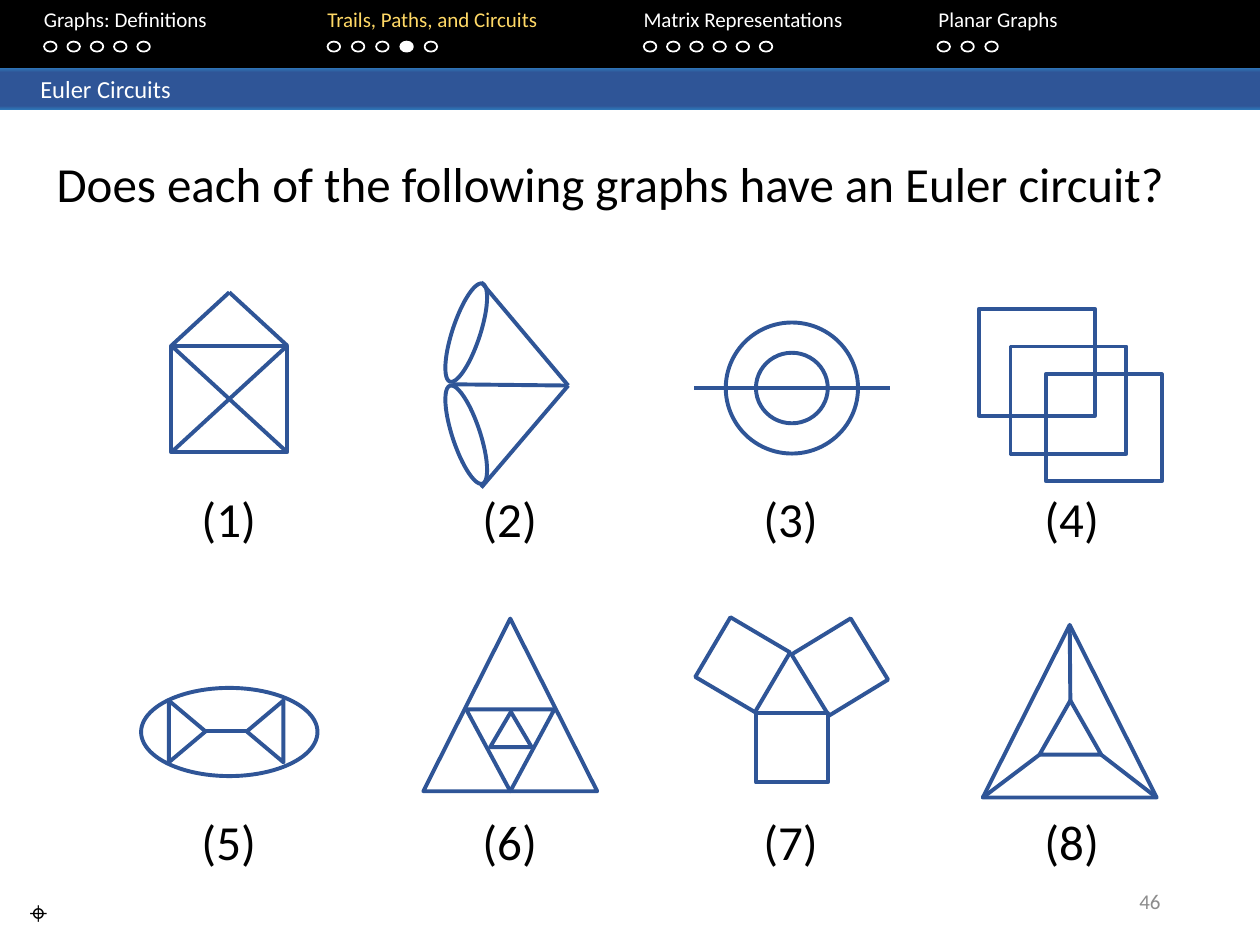
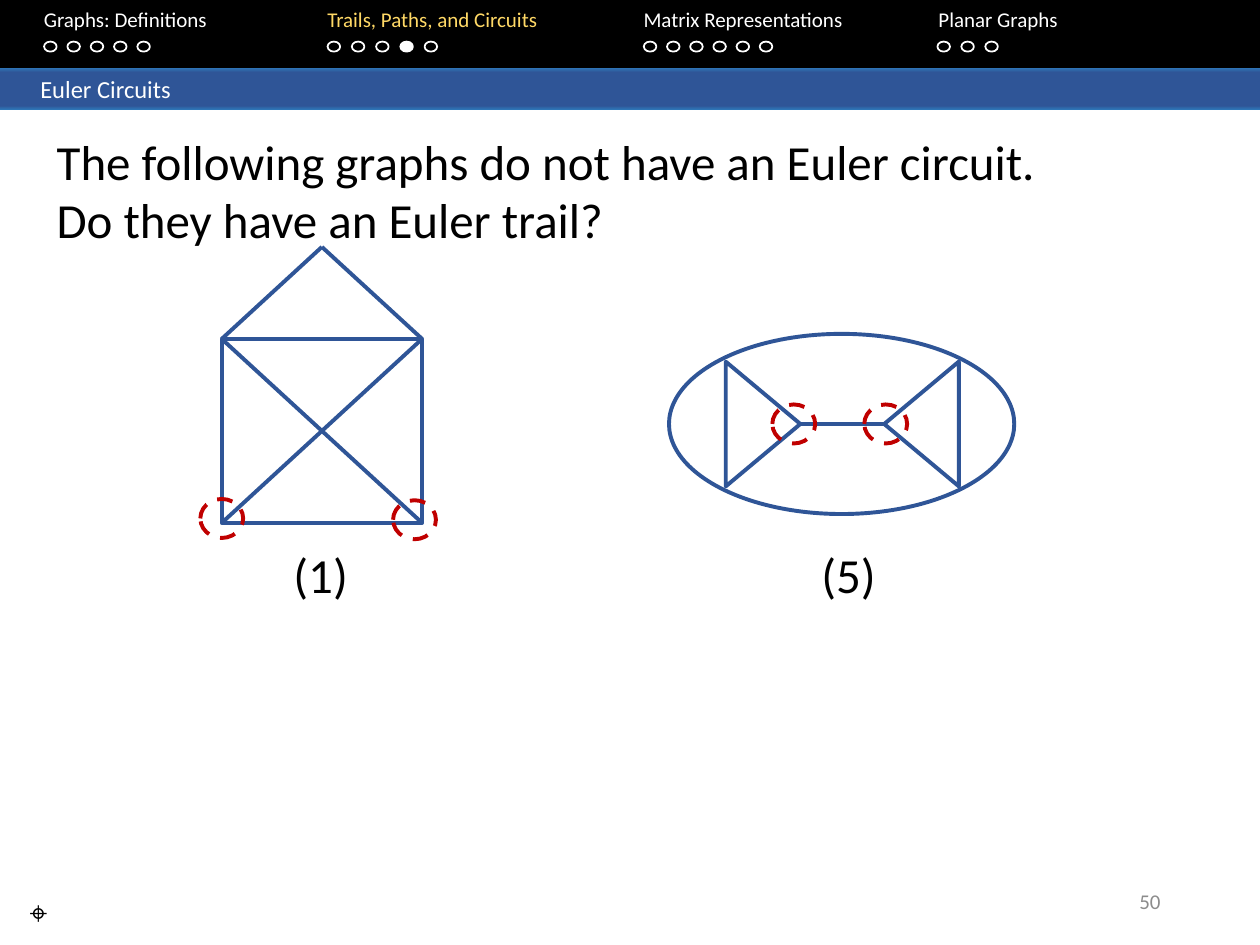
import copy

import pptx
import pptx.dml.color
import pptx.enum.dml
import pptx.enum.shapes
import pptx.enum.text
import pptx.oxml
import pptx.oxml.ns
import pptx.util

Inches = pptx.util.Inches
Shape = pptx.enum.shapes.MSO_SHAPE
Align = pptx.enum.text.PP_ALIGN
Anchor = pptx.enum.text.MSO_ANCHOR

BLACK, WHITE, GOLD = "000000", "FFFFFF", "FFD966"
GRAPH_BLUE, EDGE_BLUE, GREY, RED = "2F5597", "2E75B6", "8C8C8C", "C00000"
FONT = "Calibri"
GRAPH_LINE = 2.25
CAPTION_SIZE = (0.93, 0.57)

# Section name, text tab, first dot, last dot, number of dots
SECTIONS = [
    ("Graphs: Definitions", 0.25, 0.35, 1.09, 5),
    ("Trails, Paths, and Circuits", 2.5, 2.6, 3.37, 5),
    ("Matrix Representations", 5.01, 5.11, 6.03, 6),
    ("Planar Graphs", 7.35, 7.44, 7.82, 3),
]
CURRENT_SECTION, CURRENT_DOT = 1, 3


def rgb(hex_colour):
    return pptx.dml.color.RGBColor.from_string(hex_colour)


def set_values(target, values):
    for name, value in values.items():
        setattr(target, name, value)


def add_span(para, text, size, colour):
    span = para.add_run()
    span.text = text
    set_values(span.font, {"size": pptx.util.Pt(size), "name": FONT})
    span.font.color.rgb = rgb(colour)


def write(shape, text, size, colour=BLACK, align=Align.LEFT, anchor=Anchor.TOP):
    frame = shape.text_frame
    set_values(frame, {"word_wrap": True, "vertical_anchor": anchor,
                       "auto_size": pptx.enum.text.MSO_AUTO_SIZE.NONE})
    para = frame.paragraphs[0]
    para.alignment = align
    add_span(para, text, size, colour)


def add_text(shapes, box, text, size, **style):
    write(shapes.add_textbox(*map(Inches, box)), text, size, **style)


def add_outline(shapes, kind, box, colour=GRAPH_BLUE, width=GRAPH_LINE,
                rotation=0, fill=None, dash=None):
    """Add a preset shape that is hollow unless a fill is given."""
    shape = shapes.add_shape(kind, *map(Inches, box))
    shape.shadow.inherit = False
    shape.rotation = rotation
    if fill:
        shape.fill.solid()
        shape.fill.fore_color.rgb = rgb(fill)
    else:
        shape.fill.background()
    shape.line.color.rgb = rgb(colour)
    set_values(shape.line, {"width": pptx.util.Pt(width), "dash_style": dash})
    return shape


def add_edge(shapes, start, end):
    edge = shapes.add_connector(pptx.enum.shapes.MSO_CONNECTOR.STRAIGHT,
                                *map(Inches, (*start, *end)))
    edge.line.color.rgb = rgb(GRAPH_BLUE)
    edge.line.width = pptx.util.Pt(GRAPH_LINE)
    edge._element.spPr.append(pptx.oxml.parse_xml(
        f"<a:effectLst {pptx.oxml.ns.nsdecls('a')}/>"))


def shifted(x, y, box):
    left, top, width, height = box
    return x + left, y + top, width, height


def triangle_corners(box):
    """Return the top, bottom left and bottom right corners."""
    x, y, width, height = box
    return (x + width / 2, y), (x, y + height), (x + width, y + height)


# Frame shared by the slides

def add_section_bar(page, box):
    x, y, width, height = box
    bar = add_outline(page.shapes, Shape.RECTANGLE, box, fill=BLACK)
    bar.line.fill.background()
    names = page.shapes.add_textbox(*map(Inches, (x, y + 0.02, width, 0.5)))
    names.text_frame.word_wrap = True
    para = names.text_frame.paragraphs[0]
    stops = "".join(f'<a:tab pos="{Inches(tab)}" algn="l"/>'
                    for _, tab, *_ in SECTIONS)
    para._p.get_or_add_pPr().append(pptx.oxml.parse_xml(
        f"<a:tabLst {pptx.oxml.ns.nsdecls('a')}>{stops}</a:tabLst>"))
    for section, (name, _, first, last, count) in enumerate(SECTIONS):
        current = section == CURRENT_SECTION
        add_span(para, "\t" + name, 12, GOLD if current else WHITE)
        gap = (last - first) / (count - 1)
        for dot in range(count):
            add_outline(page.shapes, Shape.OVAL,
                        (x + first + dot * gap, y + 0.35, 0.1, 0.08), WHITE, 1,
                        fill=WHITE if current and dot == CURRENT_DOT else None)


def add_topic_band(page, box):
    band = add_outline(page.shapes, Shape.RECTANGLE, box)
    band.line.fill.background()
    band.fill.gradient()
    band.fill.gradient_angle = 270
    stop_list = band._element.spPr.find(".//" + pptx.oxml.ns.qn("a:gsLst"))
    for _ in range(2):
        stop_list.append(copy.deepcopy(stop_list[0]))
    colours = [(0, EDGE_BLUE), (0.11, GRAPH_BLUE), (0.91, GRAPH_BLUE), (1, EDGE_BLUE)]
    for stop, (position, colour) in zip(band.fill.gradient_stops, colours):
        stop.position = position
        stop.color.rgb = rgb(colour)
    band.text_frame.margin_left = Inches(0.32)
    write(band, "Euler Circuits", 14, WHITE, anchor=Anchor.MIDDLE)


def add_page(deck, question, question_box, number):
    page = deck.slides.add_slide(deck.slide_layouts[5])
    add_section_bar(page, (0, -0.02, 10, 0.56))
    add_topic_band(page, (0, 0.54, 10, 0.33))
    title = page.shapes.title
    set_values(title, dict(zip(("left", "top", "width", "height"),
                               map(Inches, question_box))))
    write(title, question, 28)
    add_text(page.shapes, (7.06, 6.95, 2.25, 0.4), number, 12, colour=GREY,
             align=Align.RIGHT, anchor=Anchor.MIDDLE)
    add_text(page.shapes, (0, 7.04, 0.61, 0.4), "⌖", 18, align=Align.CENTER)
    return page


# Graphs

def draw_house(shapes, box):
    x, y, width, height = box
    eaves, right, floor = y + height / 3, x + width, y + height
    add_outline(shapes, Shape.RECTANGLE, (x, eaves, width, floor - eaves))
    add_edge(shapes, (x, eaves), (right, floor))
    add_edge(shapes, (x, floor), (right, eaves))
    for corner in (x, right):
        add_edge(shapes, (corner, eaves), (x + width / 2, y))


def draw_lens(shapes, box, pair_box):
    """Draw an ellipse around two triangles that point at each other."""
    x, y, width, height = pair_box
    depth = 0.32 * width
    middle = y + height / 2
    add_edge(shapes, (x + depth, middle), (x + width - depth, middle))
    for centre, rotation in ((x + depth / 2, 90), (x + width - depth / 2, 270)):
        add_outline(shapes, Shape.ISOSCELES_TRIANGLE,
                    (centre - height / 2, middle - depth / 2, height, depth),
                    rotation=rotation)
    add_outline(shapes, Shape.OVAL, box)


def draw_small_house(shapes, x, y):
    draw_house(shapes, (x + 0.66, y + 0.09, 0.92, 1.27))


def draw_cone(shapes, x, y):
    apex = (x + 1.58, y + 0.83)
    for start in ((0.89, 0.01), (0.66, 0.82), (0.89, 1.64)):
        add_edge(shapes, (x + start[0], y + start[1]), apex)
    for top, rotation in ((0, 18.3), (0.81, 341.7)):
        add_outline(shapes, Shape.OVAL, (x + 0.66, y + top, 0.22, 0.82),
                    rotation=rotation)


def draw_rings(shapes, x, y):
    for ring in ((0.84, 0.57, 0.57, 0.56), (0.6, 0.33, 1.05, 1.04)):
        add_outline(shapes, Shape.OVAL, shifted(x, y, ring))
    add_edge(shapes, (x + 0.35, y + 0.85), (x + 1.9, y + 0.85))


def draw_squares(shapes, x, y):
    for left, top in ((0.38, 0.22), (0.63, 0.52), (0.91, 0.74)):
        add_outline(shapes, Shape.RECTANGLE, (x + left, y + top, 0.92, 0.85))


def draw_small_lens(shapes, x, y):
    draw_lens(shapes, (x + 0.42, y + 0.67, 1.4, 0.7),
              (x + 0.64, y + 0.77, 0.91, 0.49))


def draw_nested_triangles(shapes, x, y):
    for box, rotation in (((0.43, 0.12, 1.38, 1.37), 0),
                          ((0.96, 0.86, 0.33, 0.28), 0),
                          ((0.77, 0.84, 0.7, 0.65), 180)):
        add_outline(shapes, Shape.ISOSCELES_TRIANGLE, shifted(x, y, box),
                    rotation=rotation)


def draw_pinwheel(shapes, x, y):
    for box, rotation in (((0.84, 0.87, 0.57, 0.55), 0),
                          ((0.46, 0.21, 0.55, 0.55), 300.5),
                          ((1.22, 0.23, 0.57, 0.55), 58.6)):
        add_outline(shapes, Shape.RECTANGLE, shifted(x, y, box), rotation=rotation)


def draw_prism(shapes, x, y):
    outer = shifted(x, y, (0.41, 0.17, 1.38, 1.37))
    inner = shifted(x, y, (0.86, 0.77, 0.49, 0.43))
    for box in (outer, inner):
        add_outline(shapes, Shape.ISOSCELES_TRIANGLE, box)
    for start, end in zip(triangle_corners(outer), triangle_corners(inner)):
        add_edge(shapes, start, end)


def add_caption(shapes, x, y, number):
    add_text(shapes, (x, y, *CAPTION_SIZE), f"({number})", 28, align=Align.CENTER)


def add_graph_grid(page, box):
    x, y, width, height = box
    graphs = [draw_small_house, draw_cone, draw_rings, draw_squares,
              draw_small_lens, draw_nested_triangles, draw_pinwheel, draw_prism]
    cell_width, row_pitch = width / 4, height / 2
    for index, draw_graph in enumerate(graphs):
        row, column = divmod(index, 4)
        left, top = x + column * cell_width, y + row * row_pitch
        shapes = page.shapes.add_group_shape().shapes
        draw_graph(shapes, left, top)
        add_caption(shapes, left + (cell_width - CAPTION_SIZE[0]) / 2,
                    top + 1.6, index + 1)


def add_trail_graphs(page, box):
    """Place the enlarged graphs and ring the ends of their trails."""
    x, y, _, _ = box
    house = page.shapes.add_group_shape().shapes
    draw_house(house, (x + 0.17, y, 1.59, 2.19))
    add_caption(house, x + 0.49, y + 2.31, 1)
    lens = page.shapes.add_group_shape().shapes
    draw_lens(lens, (x + 3.72, y + 0.69, 2.74, 1.43),
              (x + 4.17, y + 0.91, 1.85, 0.99))
    add_caption(lens, x + 4.68, y + 2.31, 5)
    for left, top in ((0, 2), (1.53, 2.01), (4.54, 1.25), (5.27, 1.25)):
        add_outline(page.shapes, Shape.OVAL, (x + left, y + top, 0.34, 0.31),
                    RED, dash=pptx.enum.dml.MSO_LINE.DASH)


def main():
    deck = pptx.Presentation()
    set_values(deck, {"slide_width": Inches(10), "slide_height": Inches(7.5)})
    page = add_page(deck, "Does each of the following graphs have an Euler circuit?",
                    (0.35, 1.17, 9.08, 0.57), "46")
    add_graph_grid(page, (0.7, 2.23, 8.92, 5.12))
    page = add_page(deck, "The following graphs do not have an Euler circuit. "
                    "Do they have an Euler trail?", (0.35, 0.99, 8.12, 1.04), "50")
    add_trail_graphs(page, (1.59, 1.96, 6.46, 2.88))
    deck.save("out.pptx")


if __name__ == "__main__":
    main()
